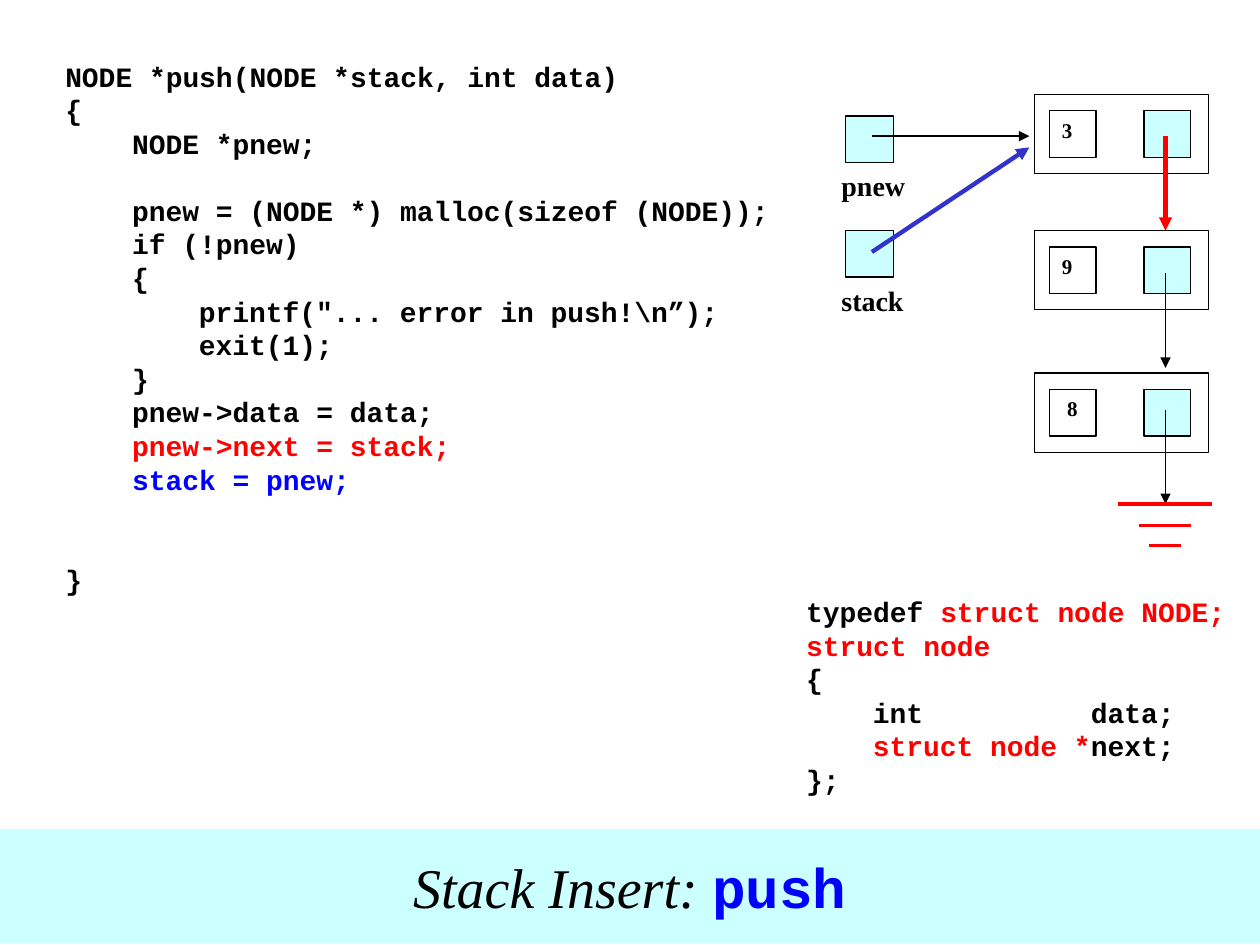
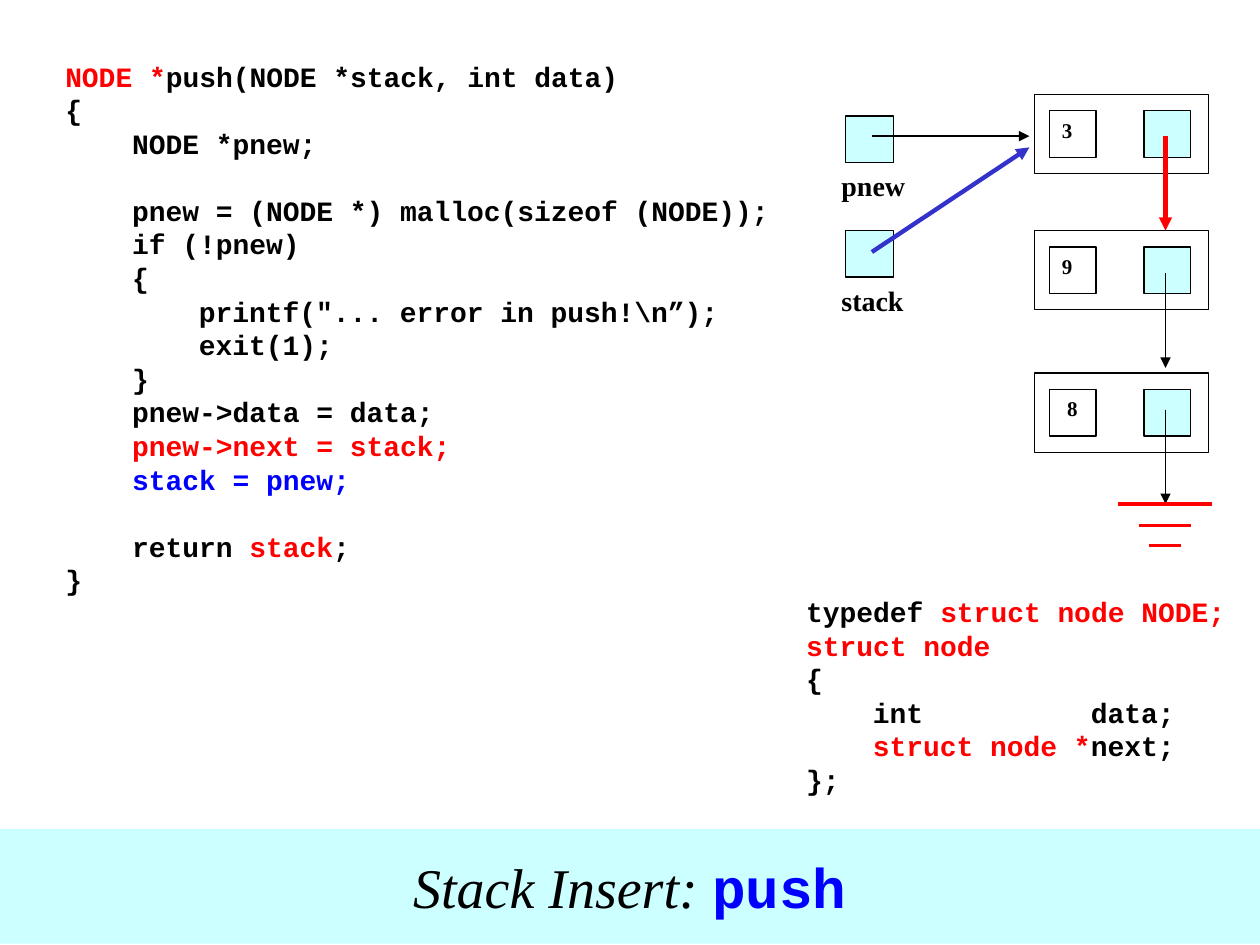
from lxml.etree import SubElement
from pptx import Presentation
from pptx.dml.color import RGBColor
from pptx.enum.shapes import MSO_CONNECTOR, MSO_SHAPE
from pptx.enum.text import MSO_ANCHOR, MSO_AUTO_SIZE, PP_ALIGN
from pptx.oxml.ns import qn
from pptx.util import Inches, Pt

BLACK, WHITE, RED, BLUE = "000000", "FFFFFF", "FF0000", "0000FF"
ARROW_BLUE, PALE = "3333CC", "CCFFFF"

CODE = {"name": "Courier New", "size": Pt(16), "bold": True}
LABEL = {"name": "Times New Roman", "size": Pt(16), "bold": True}
DATA = {**LABEL, "size": Pt(12)}
TITLE = {"name": "Times New Roman", "size": Pt(32), "bold": False, "italic": True}
TITLE_CODE = {**CODE, "size": Pt(32), "italic": False}
CODE_LINE = Pt(19.2)


def write(tf, lines, font, stops=()):
    """Write lines of (text, colour[, font]) runs; an empty line becomes space before the next."""
    p, gap = tf.paragraphs[0], 0
    for i, line in enumerate(lines):
        if not line:
            gap += CODE_LINE
            continue
        if i:
            p = tf.add_paragraph()
        if gap:
            p.space_before, gap = gap, 0
        for text, colour, *own in line:
            r = p.add_run()
            r.text = text
            r.font.color.rgb = RGBColor.from_string(colour)
            for key, value in (own[0] if own else font).items():
                setattr(r.font, key, value)
        if stops:
            tabs = SubElement(p._p.get_or_add_pPr(), qn("a:tabLst"))
            for stop in stops:
                SubElement(tabs, qn("a:tab"), pos=str(Inches(stop)), algn="l")


def box(s, x, y, w, h, fill, text="", font=DATA, outlined=True):
    sp = s.shapes.add_shape(MSO_SHAPE.RECTANGLE, Inches(x), Inches(y), Inches(w), Inches(h))
    sp.shadow.inherit = False
    sp.fill.solid()
    sp.fill.fore_color.rgb = RGBColor.from_string(fill)
    if outlined:
        sp.line.color.rgb = RGBColor.from_string(BLACK)
        sp.line.width = Pt(0.75)
    else:
        sp.line.fill.background()
    if text:
        sp.text_frame.vertical_anchor = MSO_ANCHOR.TOP
        write(sp.text_frame, [[(text, BLACK)]], font)
        sp.text_frame.paragraphs[0].alignment = PP_ALIGN.LEFT


push_body = [
    [("{", BLACK)],
    [("\tNODE *pnew;", BLACK)],
    [],
    [("\tpnew = (NODE *) malloc(sizeof (NODE));", BLACK)],
    [("\tif (!pnew)", BLACK)],
    [("\t{", BLACK)],
    [('\t\tprintf("... error in push!\\n”);', BLACK)],
    [("\t\texit(1);", BLACK)],
    [("\t}", BLACK)],
    [("\tpnew->data = data;", BLACK)],
    [("\tpnew->next = stack;", RED)],
    [("\tstack = pnew;", BLUE)],
    [],
]
node_type = [
    [("typedef ", BLACK), ("struct node NODE;", RED)],
    [("struct node", RED)],
    [("{", BLACK)],
    [("\tint\tdata;", BLACK)],
    [("\tstruct node *", RED), ("next;", BLACK)],
    [("};", BLACK)],
]
# First line and return line of push on each slide
versions = [
    ([("NODE *push(NODE *stack, int data)", BLACK)], []),
    ([("NODE *", RED), ("push(NODE *stack, int data)", BLACK)],
     [("\treturn ", BLACK), ("stack", RED), (";", BLACK)]),
]
pointers = [("pnew", 0.92), ("stack", 1.83)]
nodes = [("3", 0.75), ("9", 1.83), (" 8", 2.96)]
# x1, y1, x2, y2, colour, width, arrowhead
lines = [
    (6.92, 1.08, 8.17, 1.08, BLACK, 0.75, True),
    (6.92, 2, 8.17, 1.17, ARROW_BLUE, 2.5, True),
    (9.25, 1.08, 9.25, 1.83, RED, 2.5, True),
    (9.25, 2.17, 9.25, 2.92, BLACK, 0.75, True),
    (9.25, 3.25, 9.25, 4, BLACK, 0.75, True),
    (8.87, 4, 9.62, 4, RED, 2, False),
    (9.04, 4.17, 9.45, 4.17, RED, 2, False),
    (9.12, 4.33, 9.37, 4.33, RED, 2, False),
]

prs = Presentation()
prs.slide_width, prs.slide_height = Inches(10), Inches(7.5)

for signature, return_line in versions:
    s = prs.slides.add_slide(prs.slide_layouts[5])

    # Title band
    title = s.shapes.title
    title.left, title.top = Inches(0), Inches(6.58)
    title.width, title.height = Inches(10), Inches(0.91)
    title.fill.solid()
    title.fill.fore_color.rgb = RGBColor.from_string(PALE)
    tf = title.text_frame
    tf.auto_size = MSO_AUTO_SIZE.NONE
    tf.vertical_anchor = MSO_ANCHOR.MIDDLE
    write(tf, [[("Stack Insert: ", BLACK), ("push", BLUE, TITLE_CODE)]], TITLE)
    tf.paragraphs[0].alignment = PP_ALIGN.CENTER

    # Code listings
    push_code = [signature, *push_body, return_line, [("}", BLACK)]]
    for code, x, y, w, h, stops in [
        (push_code, 0.42, 0.42, 6.33, 4.63, (0.53, 1.06)),
        (node_type, 6.3, 4.67, 3.65, 1.7, (0.53, 2.26)),
    ]:
        tf = s.shapes.add_textbox(Inches(x), Inches(y), Inches(w), Inches(h)).text_frame
        tf.word_wrap = True
        write(tf, code, CODE, stops)

    # Linked list
    for name, y in pointers:
        box(s, 6.58, y + 0.37, 0.75, 0.38, WHITE, name, LABEL, outlined=False)
        box(s, 6.71, y, 0.38, 0.37, PALE)
    for value, y in nodes:
        box(s, 8.21, y, 1.38, 0.63, WHITE)
        box(s, 9.08, y + 0.13, 0.37, 0.37, PALE)
        box(s, 8.33, y + 0.13, 0.37, 0.37, WHITE, value)
    for x1, y1, x2, y2, colour, width, arrow in lines:
        c = s.shapes.add_connector(MSO_CONNECTOR.STRAIGHT, Inches(x1), Inches(y1), Inches(x2), Inches(y2))
        c.line.color.rgb = RGBColor.from_string(colour)
        c.line.width = Pt(width)
        if arrow:
            SubElement(c.line._get_or_add_ln(), qn("a:tailEnd"), type="triangle")
        SubElement(c._element.spPr, qn("a:effectLst"))

prs.save("out.pptx")
